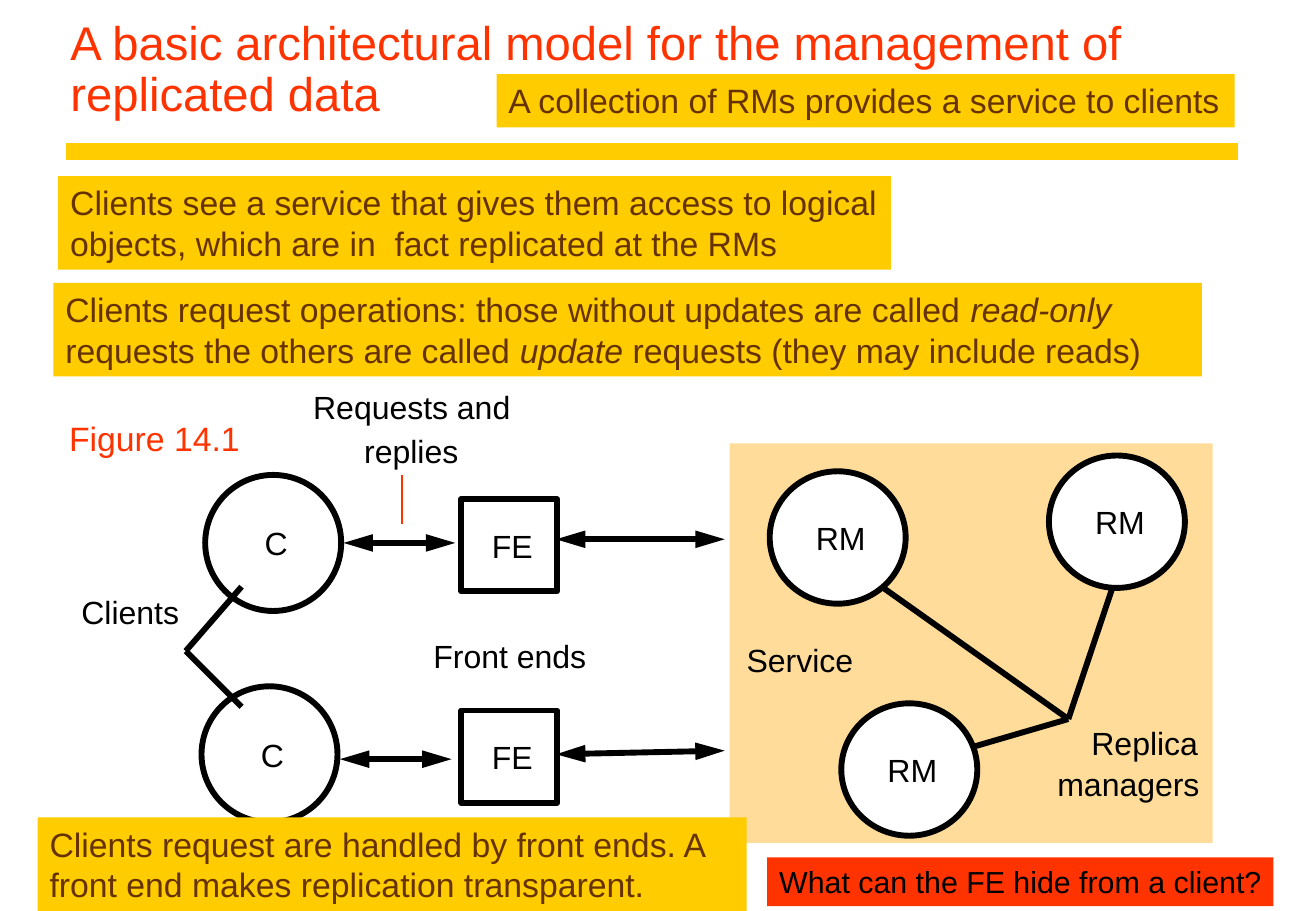
from typing import NamedTuple

from lxml.etree import SubElement
from pptx import Presentation
from pptx.dml.color import RGBColor
from pptx.enum.shapes import MSO_CONNECTOR, MSO_SHAPE
from pptx.enum.text import MSO_ANCHOR, MSO_AUTO_SIZE, PP_ALIGN
from pptx.oxml.ns import qn
from pptx.util import Inches, Pt

COLUMNS, ROWS = 108.4, 75
CELL = Inches(0.1)
FONT = "Arial"
STROKE = 3.5
COLORS = {
    "red": "FF3300",
    "gold": "FFCC00",
    "brown": "663300",
    "sand": "FFDC99",
    "black": "000000",
    "white": "FFFFFF",
}


class Box(NamedTuple):
    """A region measured in grid columns and rows."""
    left: float
    top: float
    width: float
    height: float

    def inner(self, left, top, width, height):
        return Box(self.left + left, self.top + top, width, height)

    def point(self, column, row):
        return self.left + column, self.top + row

    def lengths(self):
        return [cells(value) for value in self]


def cells(count):
    return round(count * CELL)


def color(name):
    return RGBColor.from_string(COLORS[name])


def format_runs(text_frame, size, color_name):
    for paragraph in text_frame.paragraphs:
        for run in paragraph.runs:
            run.font.name = FONT
            run.font.size = Pt(size)
            run.font.color.rgb = color(color_name)


def set_insets(text_frame, horizontal, vertical):
    text_frame.margin_left = text_frame.margin_right = cells(horizontal)
    text_frame.margin_top = text_frame.margin_bottom = cells(vertical)


def add_label(slide, box, text, size=19, color_name="black", insets=(0, 0)):
    text_frame = slide.shapes.add_textbox(*box.lengths()).text_frame
    text_frame.word_wrap = False
    text_frame.auto_size = MSO_AUTO_SIZE.SHAPE_TO_FIT_TEXT
    set_insets(text_frame, *insets)
    text_frame.text = text
    format_runs(text_frame, size, color_name)


def add_block(slide, box, kind, fill, outlined=False):
    shape = slide.shapes.add_shape(kind, *box.lengths())
    shape.shadow.inherit = False
    shape.fill.solid()
    shape.fill.fore_color.rgb = color(fill)
    if outlined:
        shape.line.color.rgb = color("black")
        shape.line.width = Pt(STROKE)
    else:
        shape.line.fill.background()
    return shape


def add_node(slide, box, kind, text):
    text_frame = add_block(slide, box, kind, "white", outlined=True).text_frame
    text_frame.word_wrap = False
    text_frame.vertical_anchor = MSO_ANCHOR.MIDDLE
    set_insets(text_frame, 0, 0)
    text_frame.margin_left = cells(0.5)
    text_frame.text = text
    text_frame.paragraphs[0].alignment = PP_ALIGN.CENTER
    format_runs(text_frame, 19, "black")


def add_line(slide, start, end, color_name="black", width=STROKE, arrows=False):
    ends = [cells(value) for value in (*start, *end)]
    connector = slide.shapes.add_connector(MSO_CONNECTOR.STRAIGHT, *ends)
    connector.line.color.rgb = color(color_name)
    connector.line.width = Pt(width)
    if arrows:
        outline = connector.line._get_or_add_ln()
        for tag in ("a:headEnd", "a:tailEnd"):
            SubElement(outline, qn(tag), type="triangle", w="med", len="lg")
    SubElement(connector._element.spPr, qn("a:effectLst"))


def add_banner(slide, box, segments, fill="gold", ink="brown", size=20, wrap=True):
    """Filled note; every second text segment is italic."""
    text_frame = add_block(slide, box, MSO_SHAPE.RECTANGLE, fill).text_frame
    text_frame.word_wrap = wrap
    text_frame.vertical_anchor = MSO_ANCHOR.TOP
    set_insets(text_frame, 1, 0.5)
    paragraph = text_frame.paragraphs[0]
    paragraph.alignment = PP_ALIGN.LEFT
    for index, segment in enumerate(segments):
        run = paragraph.add_run()
        run.text = segment
        run.font.italic = index % 2 == 1
    format_runs(text_frame, size, ink)


def add_heading(slide, box):
    title = slide.shapes.title
    title.left, title.top, title.width, title.height = box.lengths()
    text_frame = title.text_frame
    text_frame.text = "A basic architectural model for the management of replicated data"
    text_frame.word_wrap = True
    text_frame.auto_size = MSO_AUTO_SIZE.NONE
    text_frame.vertical_anchor = MSO_ANCHOR.BOTTOM
    set_insets(text_frame, 1, 0.5)
    text_frame.paragraphs[0].alignment = PP_ALIGN.LEFT
    text_frame.paragraphs[0].line_spacing = 0.9
    format_runs(text_frame, 28, "red")
    add_line(slide, box.point(0.6, 10), box.point(box.width, 10), "gold", 10)


def add_service(slide, box):
    add_block(slide, box, MSO_SHAPE.RECTANGLE, "sand")
    hub = box.point(27.9, 22.7)
    for end in ((31.9, 10.8), (12.1, 11.5), (20, 25)):
        add_line(slide, hub, box.point(*end))
    for left, top in ((3.3, 2.3), (9.2, 21.4), (26.3, 1)):
        add_node(slide, box.inner(left, top, 11.2, 10.9), MSO_SHAPE.OVAL, "RM")
    add_label(slide, box.inner(1.4, 16.2, 8.8, 3.2), "Service")
    add_label(slide, box.inner(29.8, 23.1, 8.8, 3.2), "Replica")
    add_label(slide, box.inner(27, 26.4, 11.8, 3.2), "managers")


def add_request_path(slide, box, shift, client_row, front_end_row):
    """One client, its front end and the arrows that lead to the service."""
    add_node(slide, box.inner(shift, 0, 11.2, 11.2), MSO_SHAPE.OVAL, "C")
    add_node(slide, box.inner(21.3, 2, 7.9, 7.6), MSO_SHAPE.RECTANGLE, "FE")
    add_line(slide, box.point(11.4 + shift, client_row),
             box.point(20.6 + shift, client_row), arrows=True)
    add_line(slide, box.point(29.1, front_end_row),
             box.point(box.width, 5.3), arrows=True)


def add_client_side(slide, box):
    first_top, pitch = 7.2, 17.4
    paths = ((0.2, 5.6, 5.3), (-0.1, 6, 5.6))
    for index, path in enumerate(paths):
        row_box = box.inner(12, first_top + index * pitch, 43, 11.2)
        add_request_path(slide, row_box, *path)
    for row in (16.4, 26.3):
        add_line(slide, box.point(10.6, 21.7), box.point(15.2, row))
    add_line(slide, box.point(28.4, 7.2), box.point(28.4, 11.2), "red", 1.5)
    add_label(slide, box.inner(21.1, 0, 16.3, 3.2), "Requests and")
    add_label(slide, box.inner(25.3, 3.6, 7.8, 3.2), "replies")
    add_label(slide, box.inner(2, 16.9, 8.1, 3.2), "Clients")
    add_label(slide, box.inner(31, 20.5, 12.6, 3.2), "Front ends")
    add_label(slide, box.inner(0, 2, 16.1, 4.4), "Figure 14.1", 20, "red", (1, 0.5))


def add_notes_on_model(slide, box):
    add_banner(slide, box.inner(40.9, 6.1, 60.8, 4.4),
               ["A collection of RMs provides a service to clients"], wrap=False)
    add_banner(slide, box.inner(4.8, 14.5, 68.6, 7.7),
               ["Clients see a service that gives them access to logical objects, "
                "which are in  fact replicated at the RMs"])
    add_banner(slide, box.inner(4.4, 23.3, 94.6, 7.7),
               ["Clients request operations: those without updates are called ",
                "read-only", " requests the others are called ", "update",
                " requests (they may include reads)"])
    add_banner(slide, box.inner(3.1, 67.3, 58.4, 7.7),
               ["Clients request are handled by front ends. "
                "A front end makes replication transparent."])
    add_banner(slide, box.inner(63.2, 70.6, 41.7, 4),
               ["What can the FE hide from a client?"], "red", "black", 18, wrap=False)


def main():
    presentation = Presentation()
    presentation.slide_width = cells(COLUMNS)
    presentation.slide_height = cells(ROWS)
    slide = presentation.slides.add_slide(presentation.slide_layouts[5])
    add_heading(slide, Box(4.8, 2.5, 97.2, 8))
    add_service(slide, Box(60.1, 36.5, 39.8, 32.9))
    add_client_side(slide, Box(4.7, 31.9, 55.4, 37.5))
    add_notes_on_model(slide, Box(0, 0, COLUMNS, ROWS))
    presentation.save("out.pptx")


if __name__ == "__main__":
    main()
